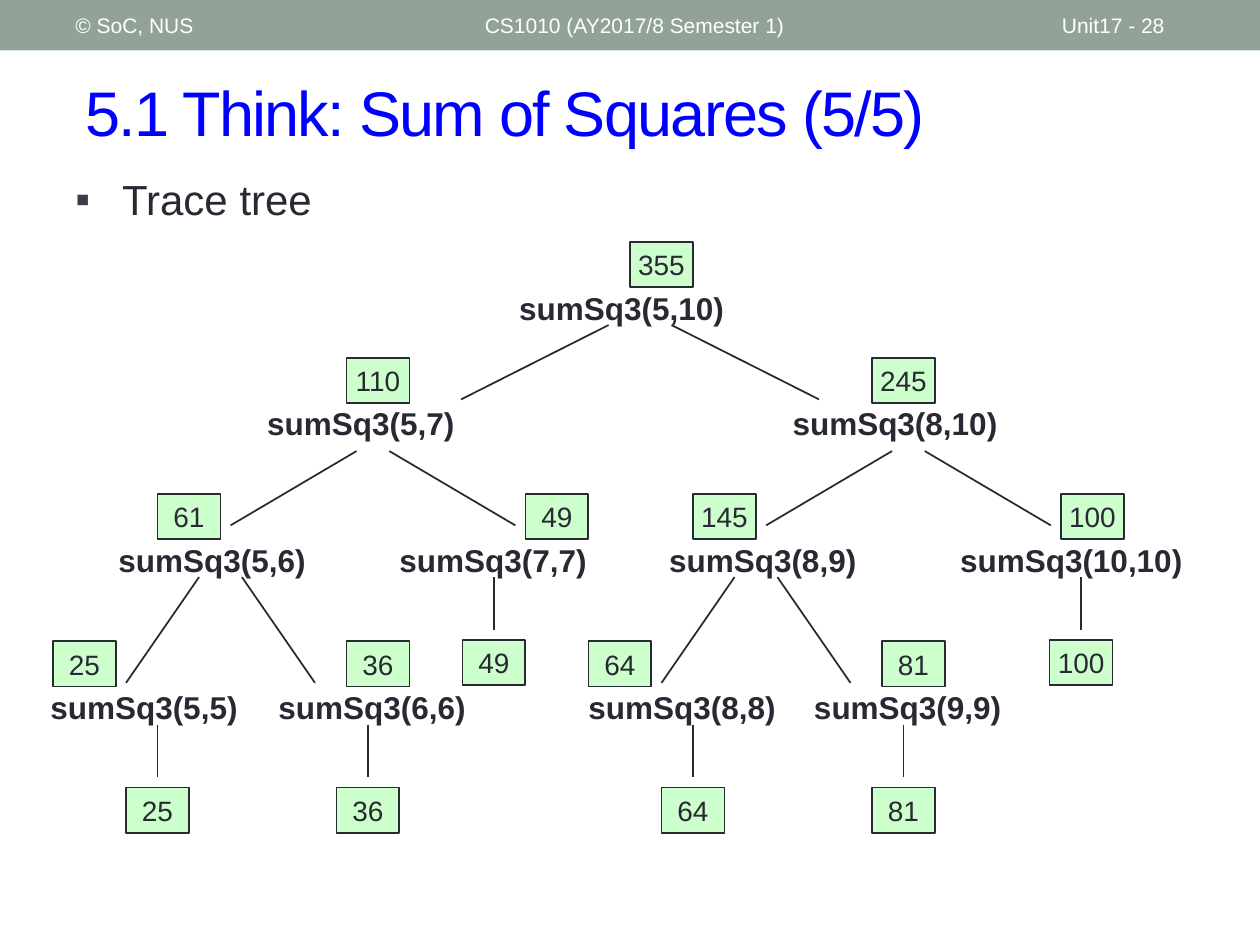
from lxml.etree import SubElement
from pptx import Presentation
from pptx.dml.color import RGBColor
from pptx.enum.shapes import MSO_CONNECTOR as Connector, MSO_SHAPE as Shape
from pptx.enum.text import MSO_ANCHOR as Anchor, MSO_AUTO_SIZE as AutoSize, PP_ALIGN as Align
from pptx.oxml.ns import qn
from pptx.util import Inches, Pt

HEADER = [("© SoC, NUS", 0.5, 3.17), ("CS1010 (AY2017/8 Semester 1)", 3.75, 4.5), ("Unit17 - 28", 8.33, 1.17)]
TITLE = "5.1 Think: Sum of Squares (5/5)"
BULLET = "Trace tree"

LEVELS = [
    {"top": 2.25, "calls": [("sumSq3(5,10)", 4.08, 2.42, "355", 5)]},
    {"top": 3.17, "calls": [("sumSq3(5,7)", 2.08, 2.25, "110", 2.75), ("sumSq3(8,10)", 6.25, 2.25, "245", 6.92)]},
    {"top": 4.25, "calls": [
        ("sumSq3(5,6)", 0.9, 1.6, "61", 1.25), ("sumSq3(7,7)", 3.13, 1.62, "49", 4.17),
        ("sumSq3(8,9)", 5.27, 1.65, "145", 5.5), ("sumSq3(10,10)", 7.58, 1.9, "100", 8.42)]},
    {"top": 5.42, "calls": [
        ("sumSq3(5,5)", 0.36, 1.64, "25", 0.42), ("sumSq3(6,6)", 2.17, 1.66, "36", 2.75),
        ("sumSq3(8,8)", 4.63, 1.62, "64", 4.67), ("sumSq3(9,9)", 6.42, 1.65, "81", 7)]},
]
BRANCHES = [
    {"centers": [5.08], "inner": 0.25, "outer": 1.42, "top": 2.58, "bottom": 3.17},
    {"centers": [2.96, 7.21], "inner": 0.13, "outer": 1.13, "top": 3.58, "bottom": 4.17},
    {"centers": [1.75, 6], "inner": 0.17, "outer": 0.75, "top": 4.58, "bottom": 5.42},
]
BASES = [
    {"top": 4.25, "leaves": [("49", 3.92), ("100", 8.58)]},
    {"top": 5.42, "leaves": [("25", 1.25), ("36", 2.92), ("64", 5.5), ("81", 7.17)]},
]

THEME = {
    "font": "Arial", "ink": "292934", "title": "0000FF", "light": "FFFFFF",
    "bar": "93A299", "box": "CCFFCC", "bullet": "3B3B4B",
    "title_size": 36, "bullet_size": 24, "call_size": 18, "value_size": 16, "header_size": 12,
}
BOX_WIDTH, BOX_HEIGHT, CALL_HEIGHT = 0.5, 0.36, 0.38
BOX_RISE, STEM_START, STEM_END, LEAF_DROP = 0.33, 0.33, 0.75, 0.83
TIGHT = {f"margin_{side}": Inches(0.04) for side in ("left", "top", "right", "bottom")}

presentation = Presentation()
presentation.slide_width, presentation.slide_height = Inches(10), Inches(7.5)
slide = presentation.slides.add_slide(presentation.slide_layouts[6])


def color(name):
    return RGBColor.from_string(THEME[name])


def apply(target, values):
    for name, value in values.items():
        setattr(target, name, value)


def write(shape, text, size, ink="ink", bold=False, align=Align.LEFT, **frame_format):
    apply(shape.text_frame, {"word_wrap": True, **frame_format})
    paragraph = shape.text_frame.paragraphs[0]
    paragraph.alignment = align
    run = paragraph.add_run()
    run.text = text
    apply(run.font, {"name": THEME["font"], "size": Pt(THEME[size]), "bold": bold})
    run.font.color.rgb = color(ink)
    return paragraph


def add_text(text, left, top, width, height, size, **text_format):
    shape = slide.shapes.add_textbox(*map(Inches, (left, top, width, height)))
    return write(shape, text, size, **text_format)


def add_rectangle(left, top, width, height, fill):
    shape = slide.shapes.add_shape(Shape.RECTANGLE, *map(Inches, (left, top, width, height)))
    shape.shadow.inherit = False
    shape.fill.solid()
    shape.fill.fore_color.rgb = color(fill)
    shape.line.fill.background()
    return shape


def add_value(text, left, top):
    shape = add_rectangle(left, top, BOX_WIDTH, BOX_HEIGHT, "box")
    shape.line.color.rgb = color("ink")
    shape.line.width = Pt(1)
    write(shape, text, "value_size", align=Align.CENTER, vertical_anchor=Anchor.MIDDLE,
          auto_size=AutoSize.SHAPE_TO_FIT_TEXT, **TIGHT)


def add_line(*ends):
    line = slide.shapes.add_connector(Connector.STRAIGHT, *map(Inches, ends))
    line.line.color.rgb = color("ink")
    line.line.width = Pt(1)
    SubElement(line._element.spPr, qn("a:effectLst"))


def add_bullet(paragraph):
    properties = paragraph._p.get_or_add_pPr()
    properties.set("marL", str(Inches(0.37)))
    properties.set("indent", str(Inches(-0.37)))
    bullet_color = SubElement(properties, qn("a:buClr"))
    SubElement(bullet_color, qn("a:srgbClr"), val=THEME["bullet"])
    SubElement(properties, qn("a:buFont"), typeface=THEME["font"])
    SubElement(properties, qn("a:buChar"), char="▪")


add_rectangle(0, 0, 10, 0.4, "bar")
for text, left, width in HEADER:
    add_text(text, left, 0.02, width, 0.36, "header_size", ink="light", vertical_anchor=Anchor.MIDDLE)

title = add_text(TITLE, 0.58, 0.42, 9.17, 0.92, "title_size", ink="title", vertical_anchor=Anchor.MIDDLE)
title.runs[0].font._element.set("spc", "-100")
add_bullet(add_text(BULLET, 0.5, 1.33, 2.75, 0.59, "bullet_size"))

for branch in BRANCHES:
    for center in branch["centers"]:
        for side in (-1, 1):
            add_line(center + side * branch["inner"], branch["top"],
                     center + side * branch["outer"], branch["bottom"])

for level in LEVELS:
    for call, left, width, value, box_left in level["calls"]:
        add_text(call, left, level["top"], width, CALL_HEIGHT, "call_size", bold=True,
                 auto_size=AutoSize.SHAPE_TO_FIT_TEXT, **TIGHT)
        add_value(value, box_left, level["top"] - BOX_RISE)

for base in BASES:
    for value, center in base["leaves"]:
        add_line(center, base["top"] + STEM_START, center, base["top"] + STEM_END)
        add_value(value, center - BOX_WIDTH / 2, base["top"] + LEAF_DROP)

presentation.save("out.pptx")
